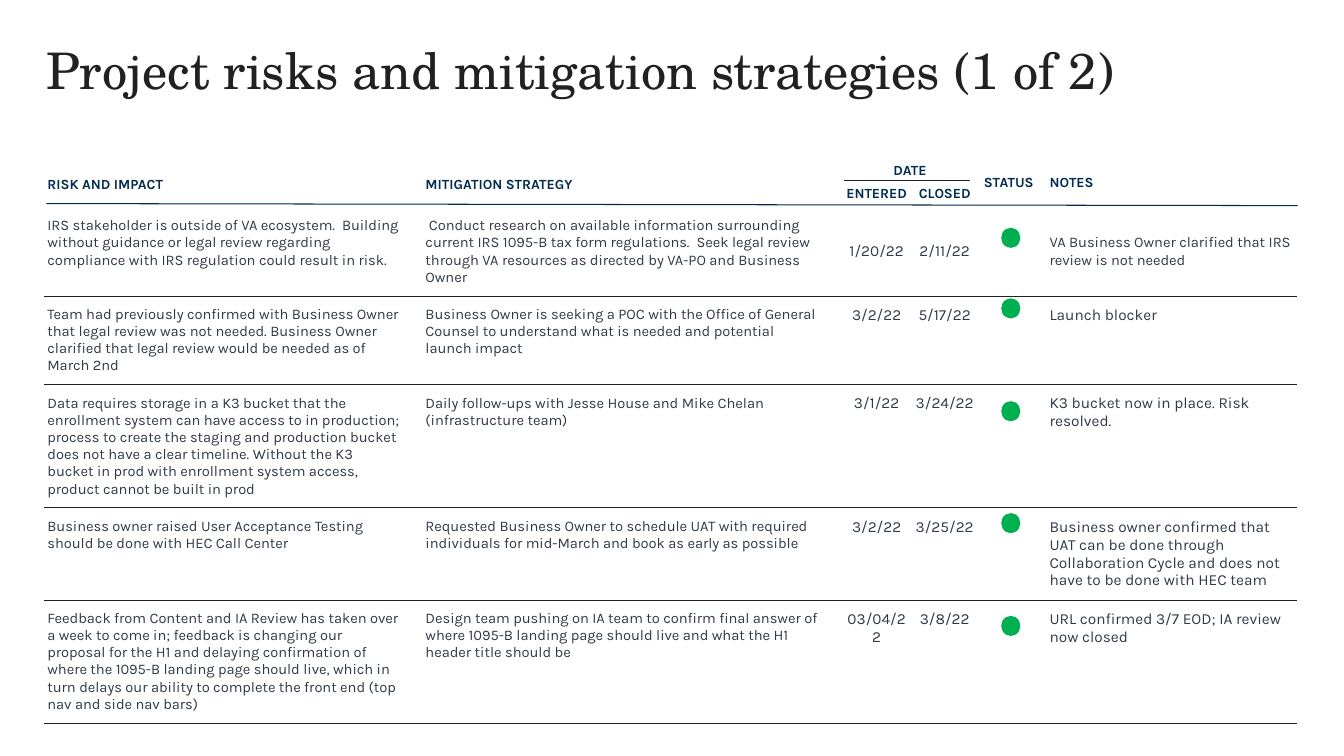
from dataclasses import dataclass

from lxml.etree import SubElement
from pptx import Presentation
from pptx.dml.color import RGBColor
from pptx.enum.shapes import MSO_CONNECTOR, MSO_SHAPE
from pptx.enum.text import MSO_ANCHOR, MSO_AUTO_SIZE, PP_ALIGN
from pptx.oxml import parse_xml
from pptx.oxml.ns import nsdecls, qn
from pptx.slide import Slide
from pptx.table import Table, _Cell
from pptx.text.text import TextFrame
from pptx.util import Inches, Length, Pt

INK = RGBColor(0x20, 0x21, 0x20)
NAVY = RGBColor(0x02, 0x2D, 0x50)
RULE_NAVY = RGBColor(0x00, 0x2B, 0x4F)
SLATE = RGBColor(0x30, 0x3A, 0x46)
GREEN = RGBColor(0x00, 0xB0, 0x50)

TITLE_FONT = "TeX Gyre Schola"
TABLE_FONT = "Karla"
NO_TABLE_STYLE = "{2D5ABB26-0587-4C30-8999-92F81FD0307C}"

GRID_COLUMNS = 133.3
GRID_ROWS = 75
SLIDE_WIDTH = Inches(13.33)
SLIDE_HEIGHT = Inches(7.5)

COLUMN_WIDTHS = [37.5, 41.6, 6.9, 6.6, 6.1, 25.5]
HEADER_HEIGHTS = [2.3, 2.3]
RULE_WEIGHT = Pt(0.75)


@dataclass(frozen=True)
class Heading:
    text: str
    row: int
    column: int
    row_span: int = 1
    column_span: int = 1
    align: PP_ALIGN = PP_ALIGN.LEFT
    spacing: float = 1.0
    left: float = 0.3


@dataclass(frozen=True)
class Risk:
    impact: str
    mitigation: str
    entered: str
    closed: str
    remark: str
    height: float
    status_top: float
    anchor: MSO_ANCHOR = MSO_ANCHOR.TOP
    remark_size: float = 11


@dataclass(frozen=True)
class Rule:
    left: float
    top: float
    right: float
    bottom: float
    color: RGBColor


HEADINGS = [
    Heading("RISK AND IMPACT", 0, 0, row_span=2, spacing=1.15),
    Heading("MITIGATION STRATEGY", 0, 1, row_span=2, spacing=1.15),
    Heading("DATE", 0, 2, column_span=2, align=PP_ALIGN.CENTER),
    Heading("ENTERED", 1, 2, align=PP_ALIGN.CENTER),
    Heading("CLOSED", 1, 3, align=PP_ALIGN.CENTER),
    Heading("STATUS", 0, 4, row_span=2, align=PP_ALIGN.CENTER),
    Heading("NOTES", 0, 5, row_span=2, left=1),
]

RISKS = [
    Risk("IRS stakeholder is outside of VA ecosystem.  Building without guidance or legal review "
         "regarding compliance with IRS regulation could result in risk.",
         " Conduct research on available information surrounding current IRS 1095-B tax form "
         "regulations.  Seek legal review through VA resources as directed by VA-PO and Business Owner",
         "1/20/22", "2/11/22", "VA Business Owner clarified that IRS review is not needed",
         8.8, 22.6, MSO_ANCHOR.MIDDLE, 10.5),
    Risk("Team had previously confirmed with Business Owner that legal review was not needed. "
         "Business Owner clarified that legal review would be needed as of March 2nd",
         "Business Owner is seeking a POC with the Office of General Counsel to understand "
         "what is needed and potential launch impact",
         "3/2/22", "5/17/22", "Launch blocker", 8.8, 29.6),
    Risk("Data requires storage in a K3 bucket that the enrollment system can have access to in "
         "production; process to create the staging and production bucket does not have a clear "
         "timeline. Without the K3 bucket in prod with enrollment system access, product cannot "
         "be built in prod",
         "Daily follow-ups with Jesse House and Mike Chelan (infrastructure team)",
         "3/1/22", "3/24/22", "K3 bucket now in place. Risk resolved.", 12.2, 39.8),
    Risk("Business owner raised User Acceptance Testing should be done with HEC Call Center",
         "Requested Business Owner to schedule UAT with required individuals for mid-March "
         "and book as early as possible",
         "3/2/22", "3/25/22",
         "Business owner confirmed that UAT can be done through Collaboration Cycle and does "
         "not have to be done with HEC team", 9.1, 50.9),
    Risk("Feedback from Content and IA Review has taken over a week to come in; feedback is "
         "changing our proposal for the H1 and delaying confirmation of where the 1095-B landing "
         "page should live, which in turn delays our ability to complete the front end "
         "(top nav and side nav bars)",
         "Design team pushing on IA team to confirm final answer of where 1095-B landing page "
         "should live and what the H1 header title should be",
         "03/04/22", "3/8/22", "URL confirmed 3/7 EOD; IA review now closed", 12.2, 61.1),
]

RULES = [
    Rule(4.6, 20.2, 128.7, 20.4, RULE_NAVY),
    Rule(83.7, 17.9, 96.2, 17.9, INK),
]


def across(columns: float) -> Length:
    return Length(round(SLIDE_WIDTH * columns / GRID_COLUMNS))


def down(rows: float) -> Length:
    return Length(round(SLIDE_HEIGHT * rows / GRID_ROWS))


def write(frame: TextFrame, text: str, font: str, size: float, color: RGBColor,
          bold: bool = False, align: PP_ALIGN = PP_ALIGN.LEFT, spacing: float = 1.0) -> None:
    para = frame.paragraphs[0]
    para.alignment = align
    para.line_spacing = spacing
    span = para.add_run()
    span.text = text
    span.font.name = font
    span.font.size = Pt(size)
    span.font.bold = bold
    span.font.color.rgb = color


def pad(cell: _Cell, left: float, right: float, vertical: float) -> None:
    cell.margin_left, cell.margin_right = across(left), across(right)
    cell.margin_top = cell.margin_bottom = down(vertical)


def underline(cell: _Cell) -> None:
    border = parse_xml(
        f'<a:lnB {nsdecls("a")} w="{RULE_WEIGHT}"><a:solidFill>'
        f'<a:srgbClr val="{INK}"/></a:solidFill></a:lnB>'
    )
    cell._tc.get_or_add_tcPr().insert(0, border)


def add_title(page: Slide, text: str) -> None:
    box = page.shapes.title
    box.left, box.top = across(3.6), down(4.1)
    box.width, box.height = across(124.2), down(8.2)
    frame = box.text_frame
    frame.auto_size = MSO_AUTO_SIZE.NONE
    frame.vertical_anchor = MSO_ANCHOR.TOP
    write(frame, text, TITLE_FONT, 36, INK, spacing=0.9)


def add_heading(table: Table, heading: Heading) -> None:
    cell = table.cell(heading.row, heading.column)
    if heading.row_span > 1 or heading.column_span > 1:
        cell.merge(table.cell(heading.row + heading.row_span - 1,
                              heading.column + heading.column_span - 1))
    pad(cell, heading.left, 0.3, 0.3)
    cell.vertical_anchor = MSO_ANCHOR.MIDDLE if heading.row_span > 1 else MSO_ANCHOR.TOP
    write(cell.text_frame, heading.text, TABLE_FONT, 10, NAVY, True, heading.align, heading.spacing)


def add_risk(table: Table, row: int, risk: Risk) -> None:
    left, center = PP_ALIGN.LEFT, PP_ALIGN.CENTER
    entries = [
        (0, risk.impact, 10.5, left, 0.3, 2, MSO_ANCHOR.TOP),
        (1, risk.mitigation, 10.5, left, 0.3, 2, risk.anchor),
        (2, risk.entered, 11, center, 0.3, 0.3, risk.anchor),
        (3, risk.closed, 11, center, 0.3, 0.3, risk.anchor),
        (5, risk.remark, risk.remark_size, left, 1, 0.3, risk.anchor),
    ]
    for column, text, size, align, inset_left, inset_right, anchor in entries:
        cell = table.cell(row, column)
        pad(cell, inset_left, inset_right, 1)
        cell.vertical_anchor = anchor
        write(cell.text_frame, text, TABLE_FONT, size, SLATE, align=align)
    for cell in table.rows[row].cells:
        underline(cell)


def add_risk_table(page: Slide) -> None:
    heights = HEADER_HEIGHTS + [risk.height for risk in RISKS]
    table = page.shapes.add_table(
        len(heights), len(COLUMN_WIDTHS), across(4.4), down(15.8),
        across(sum(COLUMN_WIDTHS)), down(sum(heights)),
    ).table
    table.first_row = table.horz_banding = False
    table._tbl.tblPr.find(qn("a:tableStyleId")).text = NO_TABLE_STYLE
    for column, width in zip(table.columns, COLUMN_WIDTHS):
        column.width = across(width)
    for row, height in zip(table.rows, heights):
        row.height = down(height)
    for cell in table.iter_cells():
        cell.fill.background()
    for heading in HEADINGS:
        add_heading(table, heading)
    for row, risk in enumerate(RISKS, start=len(HEADER_HEIGHTS)):
        add_risk(table, row, risk)


def add_status(page: Slide, top: float) -> None:
    dot = page.shapes.add_shape(MSO_SHAPE.OVAL, across(99.3), down(top), across(1.9), down(2))
    dot.shadow.inherit = False
    dot.fill.solid()
    dot.fill.fore_color.rgb = GREEN
    dot.line.fill.background()


def add_rule(page: Slide, rule: Rule) -> None:
    line = page.shapes.add_connector(MSO_CONNECTOR.STRAIGHT, across(rule.left), down(rule.top),
                                     across(rule.right), down(rule.bottom))
    line.line.color.rgb = rule.color
    line.line.width = RULE_WEIGHT
    SubElement(line._element.spPr, qn("a:effectLst"))


def main() -> None:
    deck = Presentation()
    deck.slide_width, deck.slide_height = SLIDE_WIDTH, SLIDE_HEIGHT
    page = deck.slides.add_slide(deck.slide_layouts.get_by_name("Title Only"))
    add_title(page, "Project risks and mitigation strategies (1 of 2)")
    add_risk_table(page)
    for risk in RISKS:
        add_status(page, risk.status_top)
    for rule in RULES:
        add_rule(page, rule)
    deck.save("out.pptx")


if __name__ == "__main__":
    main()
